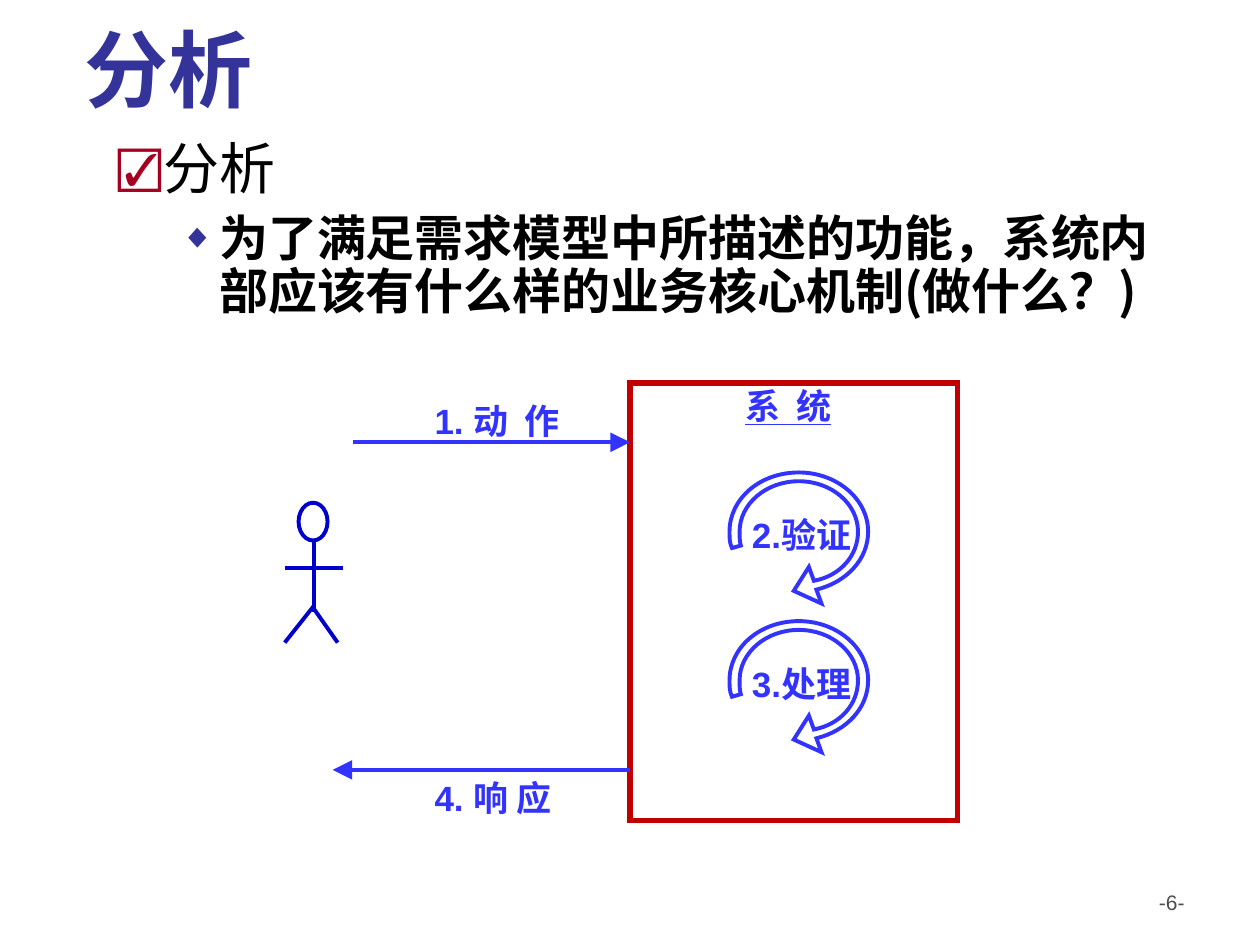
from lxml.etree import SubElement
from pptx import Presentation
from pptx.dml.color import RGBColor
from pptx.enum.shapes import MSO_CONNECTOR as CONN, MSO_SHAPE as SHAPE
from pptx.enum.text import MSO_ANCHOR as ANCHOR, MSO_AUTO_SIZE as AUTO, PP_ALIGN as ALIGN
from pptx.oxml.ns import qn
from pptx.util import Inches, Pt

BLACK = RGBColor(0x00, 0x00, 0x00)
GRAY = RGBColor(0x4D, 0x4D, 0x4D)
NAVY = RGBColor(0x33, 0x33, 0x99)
CRIMSON = RGBColor(0xA5, 0x00, 0x21)
RED = RGBColor(0xC0, 0x00, 0x00)
ACTOR_BLUE = RGBColor(0x00, 0x00, 0xCC)
FLOW_BLUE = RGBColor(0x33, 0x33, 0xFF)
CJK = "Noto Sans CJK SC"

# Content
TITLE = "分析"
BODY = [  # text, level, bullet, bullet colour, bullet %, left, hanging, space before, size, bold
    ("分析", 0, "☑", CRIMSON, 80, 0.37, 0.37, 0, 32, False),
    ("为了满足需求模型中所描述的功能，系统内部应该有什么样的业务核心机制(做什么？)",
     1, "◆", NAVY, 70, 0.81, 0.31, 7, 28, True),
]
LABEL = dict(name="Arial", size=Pt(20), bold=True, color=FLOW_BLUE)
PAGE = dict(name="Arial", size=Pt(12), bold=False, color=GRAY)
LABELS = [  # text, box, alignment, format
    ("-6-", (7.17, 7.01, 2.33, 0.52), ALIGN.RIGHT, PAGE),
    ("1. 动  作", (3.35, 3.12, 1.42, 0.44), ALIGN.LEFT, LABEL),
    ("4. 响 应", (3.35, 6.11, 1.81, 0.44), ALIGN.LEFT, LABEL),
    ("2.验证", (5.87, 4.03, 1.1, 0.44), ALIGN.LEFT, LABEL),
    ("3.处理", (5.87, 5.21, 1.1, 0.44), ALIGN.LEFT, LABEL),
    ("系  统", (5.31, 3, 1.89, 0.44), ALIGN.CENTER, dict(LABEL, underline=True)),
]
SYSTEM_BOX = (5, 3.04, 2.6, 3.47)
HEAD = (2.37, 3.99, 0.23, 0.3)
LIMBS = [  # arms, trunk, legs
    (2.26, 4.51, 2.72, 4.51),
    (2.49, 4.29, 2.49, 4.86),
    (2.49, 4.81, 2.26, 5.1),
    (2.49, 4.83, 2.68, 5.1),
]
MESSAGES = [(2.8, 3.51, 5, 3.51), (5, 6.11, 2.64, 6.11)]
LOOP_CENTERS = [(6.34, 4.22), (6.34, 5.4)]
LOOP_START = (0.12, 0.39)
LOOP = [  # offsets from the centre: three points make a curve, one a line
    [(0.33, 0.35), (0.47, 0.19), (0.47, 0)],
    [(0.47, -0.22), (0.26, -0.4), (0, -0.4)],
    [(-0.26, -0.4), (-0.47, -0.22), (-0.47, 0)],
    [(-0.47, 0.04), (-0.47, 0.08), (-0.46, 0.11)],
    [(-0.53, 0.13)],
    [(-0.55, 0.09), (-0.55, 0.05), (-0.55, 0)],
    [(-0.55, -0.26), (-0.31, -0.47), (0, -0.47)],
    [(0.3, -0.47), (0.55, -0.26), (0.55, 0)],
    [(0.55, 0.22), (0.38, 0.4), (0.14, 0.46)],
    [(0.18, 0.57)],
    [(-0.04, 0.47)],
    [(0.08, 0.28)],
]


def inches(values):
    return [Inches(v) for v in values]


def style(r, color, **attrs):
    for key, value in attrs.items():
        setattr(r.font, key, value)
    r.font.color.rgb = color
    SubElement(r.font._element, qn("a:ea"), typeface=CJK)


def add_bullet(p, char, color, percent, left, hanging):
    pPr = p._p.get_or_add_pPr()
    pPr.set("marL", str(Inches(left)))
    pPr.set("indent", str(-Inches(hanging)))
    SubElement(SubElement(pPr, qn("a:buClr")), qn("a:srgbClr"), val=str(color))
    SubElement(pPr, qn("a:buSzPct"), val=str(percent * 1000))
    SubElement(pPr, qn("a:buChar"), char=char)


def outline(sp, color, width=2.25):
    sp.shadow.inherit = False
    sp.fill.background()
    sp.line.color.rgb = color
    sp.line.width = Pt(width)
    SubElement(sp.line._get_or_add_ln(), qn("a:miter"), lim="800000")


def add_line(shapes, ends, color, arrow=False):
    line = shapes.add_connector(CONN.STRAIGHT, *inches(ends))
    line.line.color.rgb = color
    line.line.width = Pt(2.25)
    if arrow:
        SubElement(line.line._get_or_add_ln(), qn("a:tailEnd"),
                   type="triangle", w="lg", len="lg")
    SubElement(line._element.spPr, qn("a:effectLst"))


def add_loop(shapes, cx, cy):
    def at(point):
        return Inches(cx + point[0]), Inches(cy + point[1])

    builder = shapes.build_freeform(*at(LOOP_START))
    builder.add_line_segments([at(point) for part in LOOP for point in part], close=True)
    sp = builder.convert_to_shape()
    # Join the straight steps of each three-point part into one curve
    steps = iter(list(sp._element.iter(qn("a:lnTo"))))
    for part in LOOP:
        first, *others = [next(steps) for _ in part]
        if others:
            curve = first.makeelement(qn("a:cubicBezTo"))
            first.addprevious(curve)
            for step in (first, *others):
                curve.append(step[0])
                step.getparent().remove(step)
    outline(sp, FLOW_BLUE)


def place(sp, box):
    sp.left, sp.top, sp.width, sp.height = inches(box)


prs = Presentation()
prs.slide_width, prs.slide_height = Inches(10), Inches(7.5)
s = prs.slides.add_slide(prs.slide_layouts[1])

# Title
title = s.shapes.title
place(title, (0.57, 0.28, 8.68, 0.71))
tf = title.text_frame
tf.auto_size, tf.vertical_anchor = AUTO.NONE, ANCHOR.BOTTOM
p = tf.paragraphs[0]
p.alignment = ALIGN.LEFT
r = p.add_run()
r.text = TITLE
style(r, NAVY, name="Karla", size=Pt(48), bold=True)

# Bulleted body
body = s.placeholders[1]
place(body, (0.83, 1.07, 8.66, 5.91))
tf = body.text_frame
tf.auto_size = AUTO.NONE
for i, (text, level, char, color, percent, left, hanging, before, size, bold) in enumerate(BODY):
    p = tf.add_paragraph() if i else tf.paragraphs[0]
    p.level, p.line_spacing, p.space_before = level, 0.9, Pt(before)
    add_bullet(p, char, color, percent, left, hanging)
    r = p.add_run()
    r.text = text
    style(r, BLACK, name=CJK, size=Pt(size), bold=bold)

# System box
outline(s.shapes.add_shape(SHAPE.RECTANGLE, *inches(SYSTEM_BOX)), RED, 3)

# Actor
actor = s.shapes.add_group_shape()
outline(actor.shapes.add_shape(SHAPE.OVAL, *inches(HEAD)), ACTOR_BLUE)
for limb in LIMBS:
    add_line(actor.shapes, limb, ACTOR_BLUE)

# Messages between actor and system
for message in MESSAGES:
    add_line(s.shapes, message, FLOW_BLUE, arrow=True)

# Loop arrows inside the system
for center in LOOP_CENTERS:
    add_loop(s.shapes, *center)

# Labels and page number
for text, box, alignment, fmt in LABELS:
    tf = s.shapes.add_textbox(*inches(box)).text_frame
    tf.word_wrap = True
    p = tf.paragraphs[0]
    p.alignment = alignment
    r = p.add_run()
    r.text = text
    style(r, **fmt)

prs.save("out.pptx")
